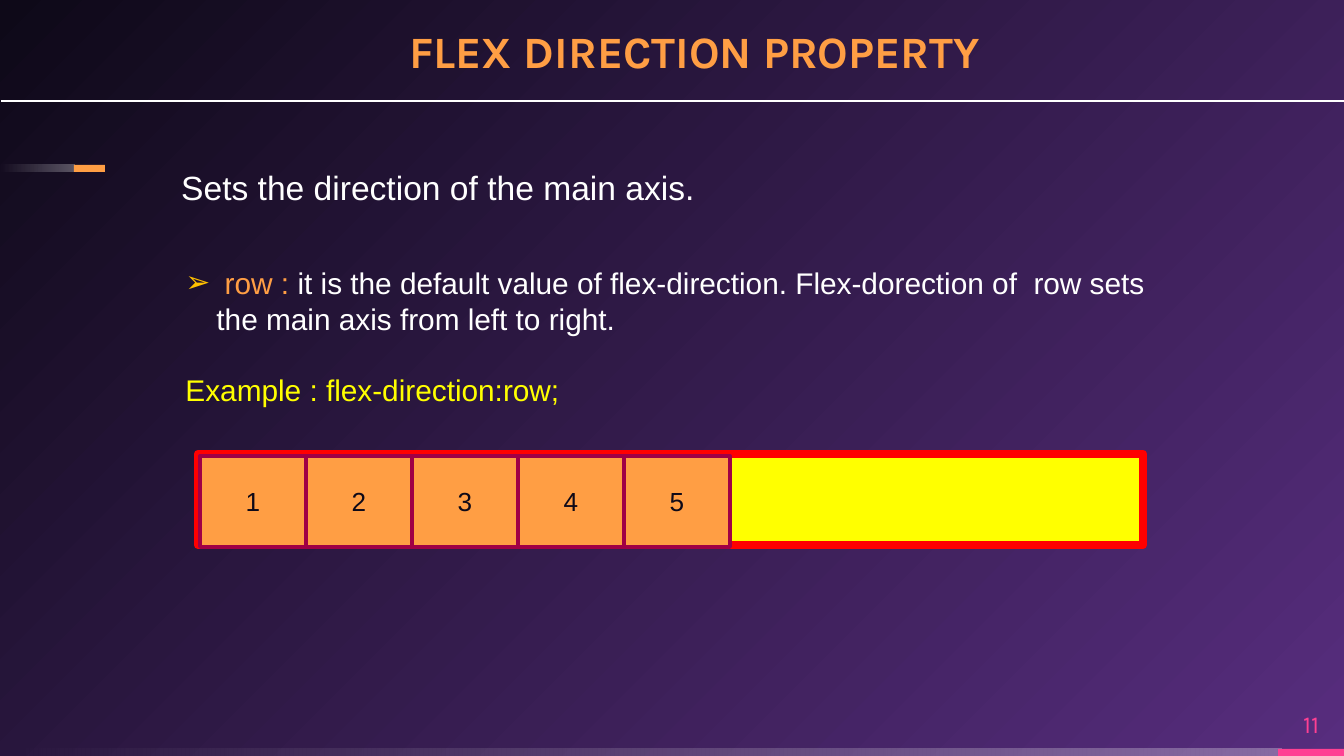
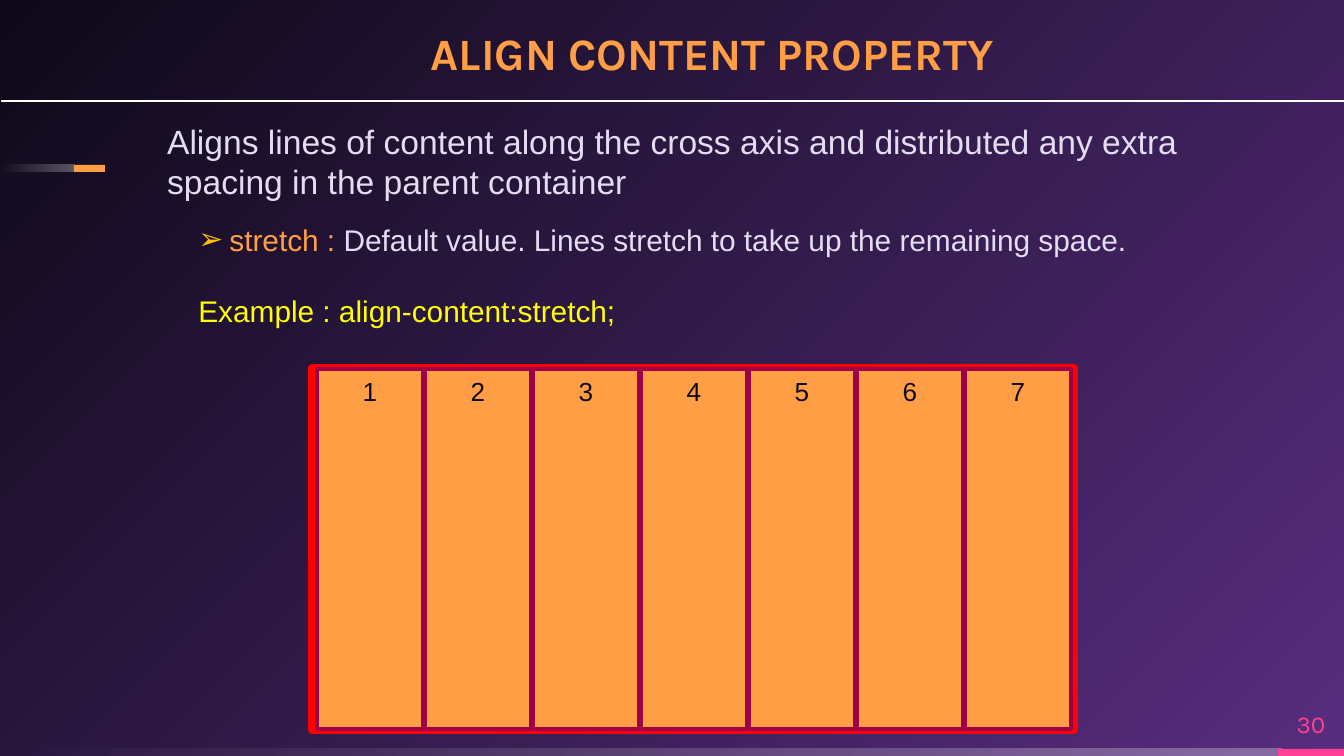
"""Build two slides on CSS flexbox: flex-direction and align-content."""
import lxml.etree
import pptx
import pptx.dml.color
import pptx.enum.shapes
import pptx.enum.text
import pptx.oxml.ns
import pptx.util

RGB = pptx.dml.color.RGBColor
SHAPE = pptx.enum.shapes.MSO_SHAPE
ALIGN = pptx.enum.text.PP_ALIGN
ANCHOR = pptx.enum.text.MSO_ANCHOR
Pt = pptx.util.Pt
qn = pptx.oxml.ns.qn

PURPLE = RGB(0x57, 0x2D, 0x7E)
INK = RGB(0x0E, 0x09, 0x18)
WHITE = RGB(0xFF, 0xFF, 0xFF)
LILAC = RGB(0xE4, 0xDC, 0xF2)
ORANGE = RGB(0xFF, 0x9E, 0x44)
PINK = RGB(0xFF, 0x40, 0x93)
RED = RGB(0xFF, 0x00, 0x00)
YELLOW = RGB(0xFF, 0xFF, 0x00)
WINE = RGB(0xA0, 0x00, 0x45)
PX = 9144000 / 1344


def px(*lengths):
    return [round(n * PX) for n in lengths]


def style(p, size, color, name="Arial", bold=False):
    for r in p.runs:
        r.font.size = Pt(size)
        r.font.name = name
        r.font.bold = bold
        r.font.color.rgb = color


slides = [
    dict(
        title="FLEX DIRECTION PROPERTY", title_at=(409, 20, 735, 58), number="11",
        lead="Sets the direction of the main axis.", lead_at=(168, 160, 902, 54),
        term=" row : ",
        meaning="it is the default value of flex-direction. Flex-dorection of  row sets "
                "the main axis from left to right.",
        example="Example : flex-direction:row;", list_at=(172, 258, 996, 159),
        color=WHITE, container=(198, 454, 945, 91),
        items=5, first=(200, 456, 106, 91), pitch=106, anchor=ANCHOR.MIDDLE,
    ),
    dict(
        title="ALIGN CONTENT PROPERTY", title_at=(431, 22, 765, 58), number="30",
        lead="Aligns lines of content along the cross axis and distributed any extra "
             "spacing in the parent container",
        lead_at=(154, 114, 1055, 95),
        term="stretch : ",
        meaning="Default value. Lines stretch to take up the remaining space.",
        example="Example : align-content:stretch;", list_at=(185, 215, 1011, 122),
        color=LILAC, container=(312, 368, 762, 362),
        items=7, first=(317, 369, 106, 360), pitch=108, anchor=ANCHOR.TOP,
    ),
]
bands = [
    ((0, 749, 1282, 7), None),
    ((1278, 749, 66, 7), PINK),
    ((0, 165, 75, 7), None),
    ((74, 165, 31, 7), ORANGE),
]

prs = pptx.Presentation()
prs.slide_width, prs.slide_height = px(1344, 756)

master = prs.slide_master
fill = master.background.fill
fill.gradient()
for stop, color in zip(fill.gradient_stops, (PURPLE, INK)):
    stop.color.rgb = color
grad = master.element.find(".//" + qn("p:bg")).find(".//" + qn("a:gradFill"))
grad.remove(grad.find(qn("a:lin")))
path = lxml.etree.SubElement(grad, qn("a:path"), path="circle")
lxml.etree.SubElement(path, qn("a:fillToRect"), l="100000", t="100000", r="0", b="0")

for content in slides:
    s = prs.slides.add_slide(prs.slide_layouts[1])

    for at, color in bands:
        sp = s.shapes.add_shape(SHAPE.RECTANGLE, *px(*at))
        sp.shadow.inherit = False
        sp.line.fill.background()
        if color is not None:
            sp.fill.solid()
            sp.fill.fore_color.rgb = color
            continue
        sp.fill.gradient()
        sp.fill.gradient_angle = 180
        for stop in sp.fill.gradient_stops:
            stop.color.rgb = WHITE
        for clr, alpha in zip(sp.element.spPr.iter(qn("a:srgbClr")), ("30000", "0")):
            lxml.etree.SubElement(clr, qn("a:alpha"), val=alpha)

    title = s.shapes.title
    title.left, title.top, title.width, title.height = px(*content["title_at"])
    tf = title.text_frame
    tf.text = content["title"]
    tf.auto_size = pptx.enum.text.MSO_AUTO_SIZE.NONE
    tf.margin_left = tf.margin_top = tf.margin_right = tf.margin_bottom = 0
    tf.vertical_anchor = ANCHOR.BOTTOM
    p = tf.paragraphs[0]
    p.alignment = ALIGN.LEFT
    p.line_spacing = 0.9
    style(p, 24, ORANGE, "Karla", True)

    sp = s.shapes.add_textbox(*px(*content["lead_at"]))
    tf = sp.text_frame
    tf.word_wrap = True
    tf.text = content["lead"]
    style(tf.paragraphs[0], 18, content["color"])

    body = s.placeholders[1]
    body.left, body.top, body.width, body.height = px(*content["list_at"])
    tf = body.text_frame
    tf.auto_size = pptx.enum.text.MSO_AUTO_SIZE.NONE
    p = tf.paragraphs[0]
    pPr = p._p.get_or_add_pPr()
    indent = px(31)[0]
    pPr.set("marL", str(indent))
    pPr.set("indent", str(-indent))
    clr = lxml.etree.SubElement(pPr, qn("a:buClr"))
    lxml.etree.SubElement(clr, qn("a:srgbClr"), val="FFC000")
    lxml.etree.SubElement(pPr, qn("a:buChar"), char="➢")
    p.space_before = Pt(0)
    p.add_run().text = content["term"]
    p.add_run().text = content["meaning"]
    style(p, 16, content["color"])
    p.runs[0].font.color.rgb = ORANGE

    p = tf.add_paragraph()
    pPr = p._p.get_or_add_pPr()
    pPr.set("marL", "0")
    pPr.set("indent", "0")
    lxml.etree.SubElement(pPr, qn("a:buNone"))
    p.text = content["example"]
    p.space_before = Pt(19)
    style(p, 16, YELLOW)

    x1, y1, x2, y2 = px(1, 101, 1344, 101)
    rule = s.shapes.add_connector(pptx.enum.shapes.MSO_CONNECTOR.STRAIGHT, x1, y1, x2, y2)
    rule.line.color.rgb = WHITE
    rule.line.width = Pt(0.75)
    lxml.etree.SubElement(rule.element.spPr, qn("a:effectLst"))

    sp = s.shapes.add_textbox(*px(1278, 698, 66, 51))
    tf = sp.text_frame
    tf.word_wrap = True
    tf.margin_left = tf.margin_top = tf.margin_right = tf.margin_bottom = 0
    tf.vertical_anchor = ANCHOR.MIDDLE
    tf.text = content["number"]
    tf.paragraphs[0].alignment = ALIGN.CENTER
    style(tf.paragraphs[0], 13, PINK, "Karla")

    left, top, width, height = content["first"]
    boxes = [("", content["container"], YELLOW, RED, 4.5)]
    for i in range(content["items"]):
        at = (left + i * content["pitch"], top, width, height)
        boxes.append((str(i + 1), at, ORANGE, WINE, 2))
    for label, at, color, border, weight in boxes:
        sp = s.shapes.add_shape(SHAPE.FLOWCHART_PROCESS, *px(*at))
        sp.shadow.inherit = False
        sp.fill.solid()
        sp.fill.fore_color.rgb = color
        sp.line.color.rgb = border
        sp.line.width = Pt(weight)
        if label:
            tf = sp.text_frame
            tf.text = label
            tf.vertical_anchor = content["anchor"]
            tf.paragraphs[0].alignment = ALIGN.CENTER
            style(tf.paragraphs[0], 14, INK)

prs.save("out.pptx")
